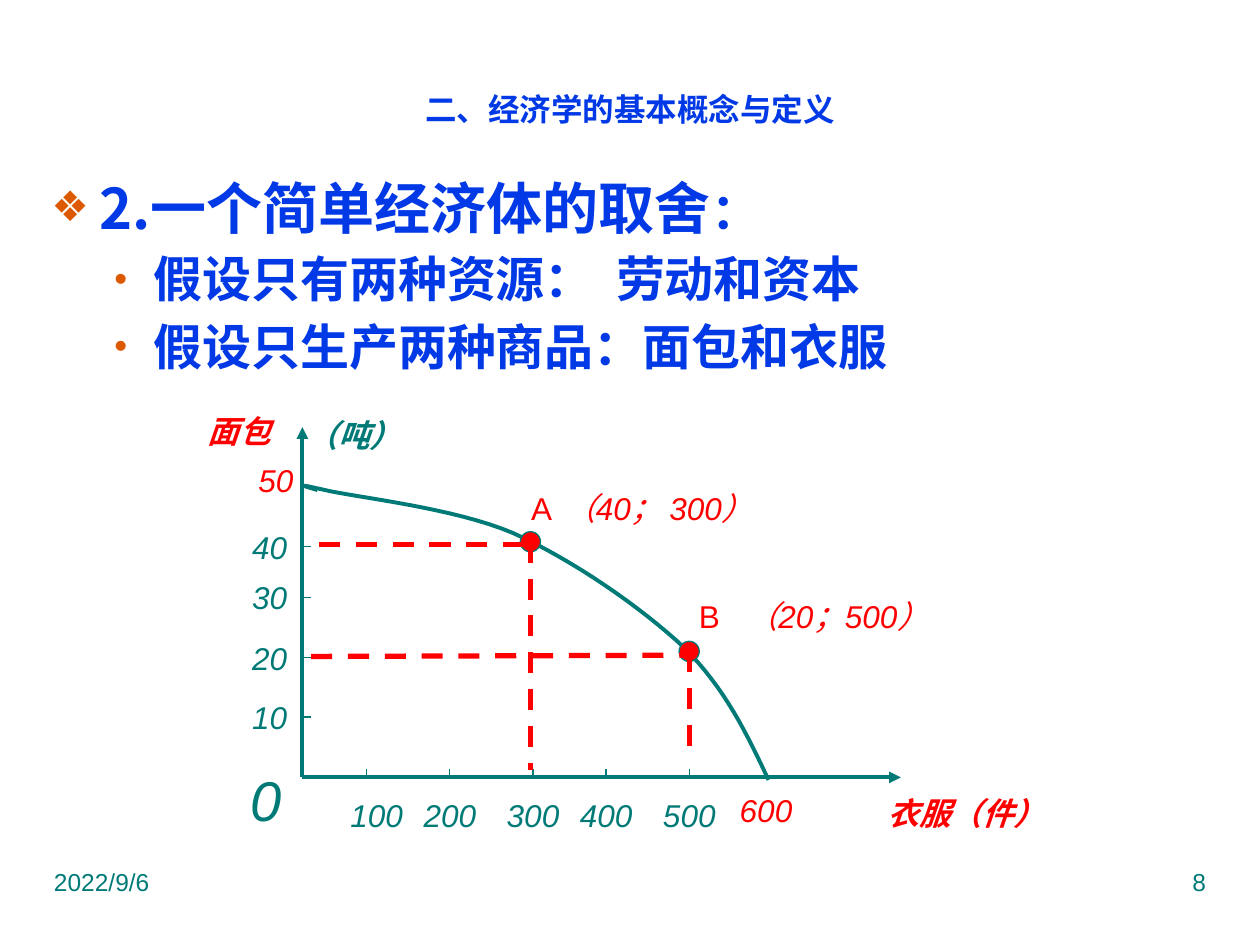
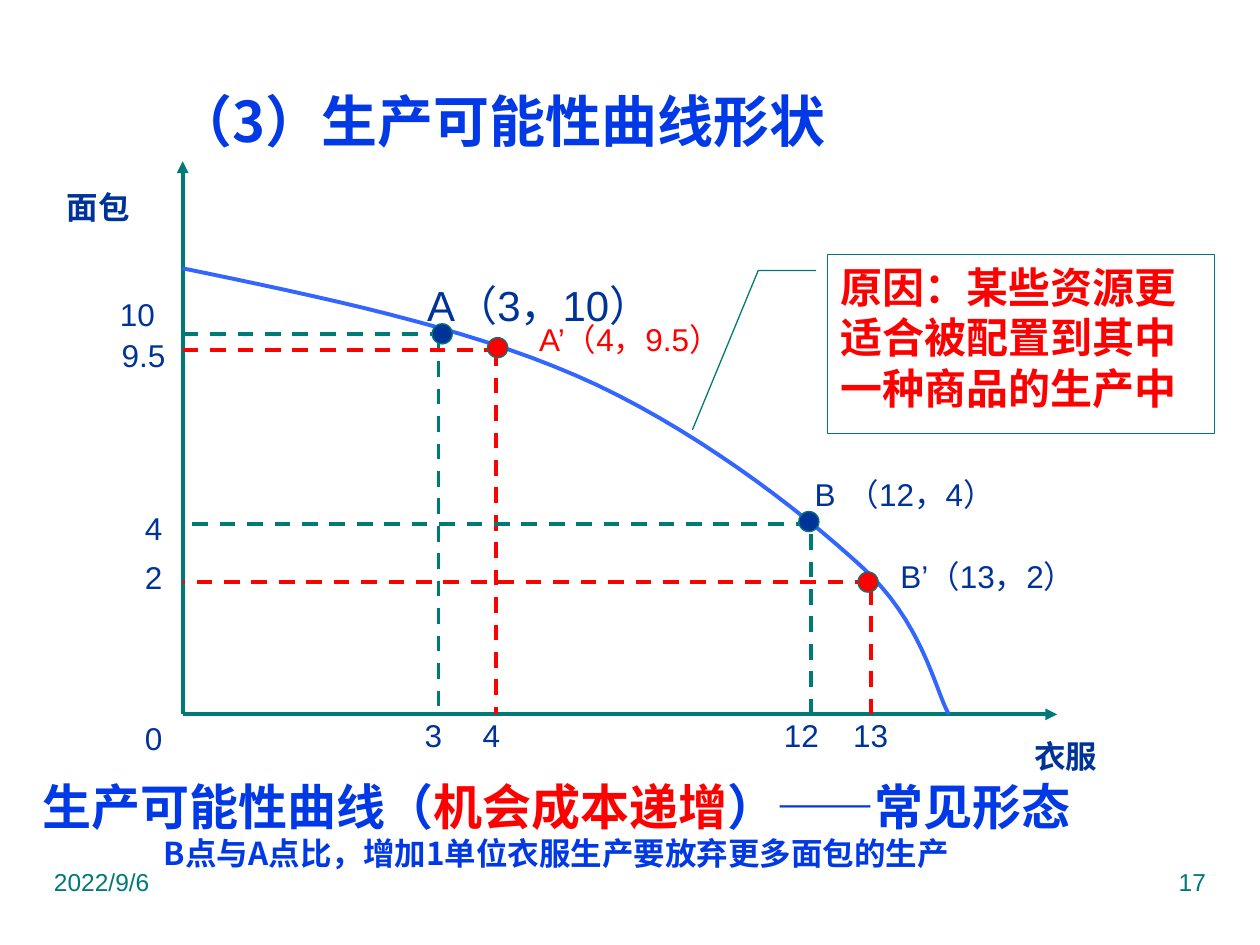
from dataclasses import dataclass
from lxml import etree
from pptx import Presentation
from pptx.dml.color import RGBColor
from pptx.enum.dml import MSO_LINE_DASH_STYLE as Dash
from pptx.enum.shapes import MSO_CONNECTOR as Connector, MSO_SHAPE as Preset
from pptx.enum.text import MSO_ANCHOR as Anchor, MSO_AUTO_SIZE as AutoSize, PP_ALIGN as Align
from pptx.oxml.ns import qn
from pptx.util import Inches, Pt


@dataclass(frozen=True)
class Theme:
    teal: str = "007A77"
    red: str = "FF0000"
    blue: str = "0039E5"
    navy: str = "003399"
    curve_blue: str = "3366FF"
    bullet: str = "DC5900"
    latin: str = "Arial"
    heading: str = "Noto Sans CJK SC"
    small: int = 14
    normal: int = 18
    large: int = 24
    sub: int = 28
    head: int = 32
    hairline: float = 0.75
    axis: float = 2.25
    bold_line: float = 3


@dataclass(frozen=True)
class Box:
    left: float
    top: float
    width: float
    height: float

    def emu(self):
        return [Inches(v) for v in (self.left, self.top, self.width, self.height)]

    def from_origin(self, right, up):
        return self.left + right, self.top + self.height - up


THEME = Theme()
DATE = "2022/9/6"


def rgb(code):
    return RGBColor.from_string(code)


def add_run(paragraph, text, size=THEME.normal, color=THEME.teal, font=THEME.latin,
            bold=False, italic=False):
    run = paragraph.add_run()
    run.text = text
    run.font.size, run.font.name = Pt(size), font
    run.font.bold, run.font.italic = bold, italic
    run.font.color.rgb = rgb(color)
    latin = run.font._element.find(qn("a:latin"))
    east_asian = etree.Element(qn("a:ea"), typeface=THEME.heading)
    latin.addnext(east_asian)


def write(shape, paragraphs, align=Align.LEFT, anchor=Anchor.TOP, wrap=True, **style):
    frame = shape.text_frame
    frame.auto_size, frame.word_wrap = AutoSize.NONE, wrap
    frame.vertical_anchor = anchor
    if isinstance(paragraphs, str):
        paragraphs = [[(paragraphs, {})]]
    for index, runs in enumerate(paragraphs):
        paragraph = frame.add_paragraph() if index else frame.paragraphs[0]
        paragraph.alignment = align
        for text, changes in runs:
            add_run(paragraph, text, **{**style, **changes})
        if style.get("font") == THEME.heading:
            size = runs[0][1].get("size", style["size"])
            paragraph.line_spacing = Pt(round(size * 1.19))
    return frame


def add_text(slide, box, paragraphs, **style):
    return write(slide.shapes.add_textbox(*box.emu()), paragraphs, **style)


def set_line(line, color, width):
    line.color.rgb = rgb(color)
    line.width = Pt(width)


def add_line(slide, plot, start, end, color=THEME.teal, width=THEME.hairline,
             dashed=False, arrow=False):
    ends = [Inches(v) for point in (start, end) for v in plot.from_origin(*point)]
    line = slide.shapes.add_connector(Connector.STRAIGHT, *ends)
    set_line(line.line, color, width)
    if dashed:
        line.line.dash_style = Dash.DASH
    properties = line._element.spPr
    if arrow:
        etree.SubElement(properties.find(qn("a:ln")), qn("a:tailEnd"), type="triangle")
    etree.SubElement(properties, qn("a:effectLst"))


def add_axes(slide, plot):
    for end in ((plot.width, 0), (0, plot.height)):
        add_line(slide, plot, (0, 0), end, width=THEME.axis, arrow=True)


def bezier(controls, steps=16):
    points = [controls[0]]
    for first in range(0, len(controls) - 1, 3):
        a, b, c, d = controls[first:first + 4]
        for step in range(1, steps + 1):
            t = step / steps
            u = 1 - t
            points.append(tuple(
                u**3 * a[i] + 3 * u * u * t * b[i] + 3 * u * t * t * c[i] + t**3 * d[i]
                for i in (0, 1)))
    return points


def add_curve(slide, plot, controls, color):
    start, *others = [tuple(Inches(v) for v in plot.from_origin(*point))
                      for point in bezier(controls)]
    builder = slide.shapes.build_freeform(*start)
    builder.add_line_segments(others, close=False)
    curve = builder.convert_to_shape()
    curve.shadow.inherit = False
    curve.fill.background()
    set_line(curve.line, color, THEME.axis)


def add_dot(slide, plot, center, color, size=0.16):
    x, y = plot.from_origin(*center)
    box = Box(x - size / 2, y - size / 2, size, size)
    dot = slide.shapes.add_shape(Preset.OVAL, *box.emu())
    dot.shadow.inherit = False
    dot.fill.solid()
    dot.fill.fore_color.rgb = rgb(color)
    set_line(dot.line, THEME.teal, THEME.hairline)


def add_label(slide, plot, text, right, up, width=0.5, height=0.39, **style):
    x, y = plot.from_origin(right, up)
    add_text(slide, Box(x - width / 2, y - height / 2, width, height), text,
             align=Align.CENTER, anchor=Anchor.MIDDLE, wrap=False, **style)


def add_footer(slide, number):
    add_text(slide, Box(0.33, 6.83, 2.5, 0.52), DATE, size=THEME.small)
    add_text(slide, Box(7.17, 6.83, 2.5, 0.52), str(number), size=THEME.small,
             align=Align.RIGHT)


def start_slide(deck, title, box, number, **style):
    slide = deck.slides.add_slide(deck.slide_layouts[5])
    heading = slide.shapes.title
    heading.left, heading.top, heading.width, heading.height = box.emu()
    write(heading, title, color=THEME.blue, font=THEME.heading, bold=True, **style)
    add_footer(slide, number)
    return slide


def add_bullet(paragraph, mark, margin, hanging, size):
    paragraph.space_before = Pt(size * 0.2)
    properties = paragraph._p.get_or_add_pPr()
    properties.set("marL", str(Inches(margin)))
    properties.set("indent", str(-Inches(hanging)))
    color = etree.SubElement(properties, qn("a:buClr"))
    etree.SubElement(color, qn("a:srgbClr"), val=THEME.bullet)
    etree.SubElement(properties, qn("a:buSzPct"), val="75000")
    etree.SubElement(properties, qn("a:buFont"), typeface=THEME.latin)
    etree.SubElement(properties, qn("a:buChar"), char=mark)


def add_assumptions(slide, box):
    sub = {"size": THEME.sub}
    frame = add_text(slide, box, [
        [("2.一个简单经济体的取舍", {}), ("：", sub)],
        [("假设只有两种资源：  劳动和资本", sub)],
        [("假设只生产两种商品：面包和衣服", sub)],
    ], size=THEME.head, color=THEME.blue, font=THEME.heading, bold=True)
    topic, *assumptions = frame.paragraphs
    add_bullet(topic, "❖", 0.38, 0.38, THEME.head)
    for assumption in assumptions:
        assumption.level = 1
        add_bullet(assumption, "•", 0.81, 0.31, THEME.sub)


def add_tradeoff_plot(slide, plot):
    add_axes(slide, plot)
    add_curve(slide, plot, [
        (0.12, 2.28), (0.02, 2.31), (-0.08, 2.34), (0.18, 2.28), (0.44, 2.22),
        (1.2, 2.14), (1.67, 1.94), (2.14, 1.73), (2.69, 1.35), (3.03, 1.03),
        (3.36, 0.7), (3.53, 0.34), (3.7, -0.02)], THEME.teal)

    tick = 0.07
    clothes = [(0.51, 0.59), (1.17, 1.17), (1.83, 1.83), (2.41, 2.41), (3.07, 3.07)]
    for count, (mark, center) in enumerate(clothes, 1):
        add_line(slide, plot, (mark, tick), (mark, 0))
        add_label(slide, plot, str(count * 100), center, -0.3, 0.59, 0.47, italic=True)
    for count, up in enumerate((0.48, 0.95, 1.43, 1.83), 1):
        add_line(slide, plot, (0, up), (tick, up))
        add_label(slide, plot, str(count * 10), -0.26, up, 0.36, 0.27, italic=True)
    add_label(slide, plot, "0", -0.29, -0.17, size=THEME.head, italic=True)
    add_label(slide, plot, "50", -0.21, 2.36, color=THEME.red, italic=True)
    add_label(slide, plot, "600", 3.68, -0.26, color=THEME.red, italic=True)

    for text, right, up, width, color in (
            ("衣服（件）", 5.27, -0.28, 1.89, THEME.red),
            ("面包", -0.5, 2.75, 0.88, THEME.red),
            ("（吨）", 0.41, 2.72, 0.66, THEME.teal)):
        add_label(slide, plot, text, right, up, width, color=color, bold=True, italic=True)

    for center in ((1.81, 1.87), (3.07, 1)):
        add_dot(slide, plot, center, THEME.red)
    for start, end in (((1.76, 1.85), (0.04, 1.85)), ((1.81, 1.87), (1.81, 0.06)),
                       ((0.07, 0.96), (3.02, 0.97)), ((3.07, 1), (3.07, 0.14))):
        add_line(slide, plot, start, end, THEME.red, THEME.bold_line, dashed=True)
    for name, values, right, values_right, up in (
            ("A", "（40； 300）", 1.9, 2.83, 2.14),
            ("B", "（20；500）", 3.23, 4.25, 1.28)):
        add_label(slide, plot, name, right, up, color=THEME.red)
        add_label(slide, plot, values, values_right, up, 1.6, color=THEME.red, italic=True)


def add_shape_plot(slide, plot):
    add_axes(slide, plot)
    add_curve(slide, plot, [
        (0, 3.54), (1.11, 3.31), (2.22, 3.08), (3.12, 2.69), (4.02, 2.3),
        (4.89, 1.63), (5.38, 1.18), (5.87, 0.74), (5.97, 0.2), (6.08, 0)],
        THEME.curve_blue)

    for right, up, color, outward in (
            (2.03, 3.02, THEME.teal, True), (2.49, 2.89, THEME.red, True),
            (4.99, 1.51, THEME.teal, False), (5.46, 1.05, THEME.red, False)):
        route = [(0, up), (right, up), (right, 0)]
        if not outward:
            route.reverse()
        for start, end in zip(route, route[1:]):
            add_line(slide, plot, start, end, color, THEME.axis, dashed=True)

    for text, right, up in (
            ("10", -0.36, 3.18), ("9.5", -0.31, 2.85), ("4", -0.23, 1.48),
            ("2", -0.23, 1.09), ("0", -0.23, -0.19), ("3", 1.99, -0.16),
            ("4", 2.45, -0.16), ("12", 4.91, -0.16), ("13", 5.46, -0.16)):
        add_label(slide, plot, text, right, up, 0.35, 0.2, color=THEME.navy)
    for text, right, up in (("面包", -0.67, 4.03), ("衣服", 7.01, -0.33)):
        add_label(slide, plot, text, right, up, 0.7, color=THEME.navy, bold=True)

    add_label(slide, plot, "A（3，10）", 2.83, 3.25, 1.92, color=THEME.navy, size=THEME.large)
    for text, right, up, width, color in (
            ("B", 5.1, 1.75, 0.37, THEME.navy),
            ("（12，4）", 5.86, 1.75, 1.31, THEME.navy),
            ("A’（4，9.5）", 3.55, 2.98, 1.58, THEME.red),
            ("B’（13，2）", 6.39, 1.1, 1.42, THEME.navy)):
        add_label(slide, plot, text, right, up, width, color=color)
    for right, up, color in ((2.06, 3.02, THEME.navy), (4.97, 1.53, THEME.navy),
                             (2.5, 2.91, THEME.red), (5.44, 1.05, THEME.red)):
        add_dot(slide, plot, (right, up), color)


def add_reason(slide, box):
    callout = slide.shapes.add_shape(Preset.LINE_CALLOUT_2, *box.emu())
    for index, value in enumerate((0.09, -0.03, 0.09, -0.18, 0.98, -0.35)):
        callout.adjustments[index] = value
    callout.shadow.inherit = False
    callout.fill.background()
    set_line(callout.line, THEME.teal, THEME.hairline)
    write(callout, "原因：某些资源更适合被配置到其中一种商品的生产中",
          size=THEME.large, color=THEME.red, font=THEME.heading, bold=True)


def add_conclusion(slide, box):
    add_text(slide, box, [
        [("生产可能性曲线（", {}), ("机会成本递增", {"color": THEME.red}),
         ("）——常见形态", {})],
        [("B点与A点比，增加1单位衣服生产要放弃更多面包的生产", {"size": THEME.normal})],
    ], align=Align.CENTER, anchor=Anchor.MIDDLE, wrap=False, size=THEME.sub,
        color=THEME.blue, font=THEME.heading, bold=True)


def build_tradeoff_slide(deck):
    slide = start_slide(deck, "二、经济学的基本概念与定义", Box(0.33, 0.67, 9.34, 0.58), 8,
                        size=THEME.normal, align=Align.CENTER)
    add_assumptions(slide, Box(0.31, 1.33, 9.34, 1.64))
    add_tradeoff_plot(slide, Box(2.4, 3.39, 4.75, 2.78))


def build_curve_shape_slide(deck):
    slide = start_slide(deck, "（3）生产可能性曲线形状", Box(1.3, 0.52, 6.46, 0.87), 17,
                        size=THEME.head, anchor=Anchor.MIDDLE, wrap=False)
    add_conclusion(slide, Box(0.2, 6.11, 8.43, 0.87))
    add_shape_plot(slide, Box(1.45, 1.28, 6.94, 4.39))
    add_reason(slide, Box(6.57, 2.02, 3.07, 1.42))


def main():
    deck = Presentation()
    deck.slide_width, deck.slide_height = Inches(10), Inches(7.5)
    build_tradeoff_slide(deck)
    build_curve_shape_slide(deck)
    deck.save("out.pptx")


if __name__ == "__main__":
    main()
